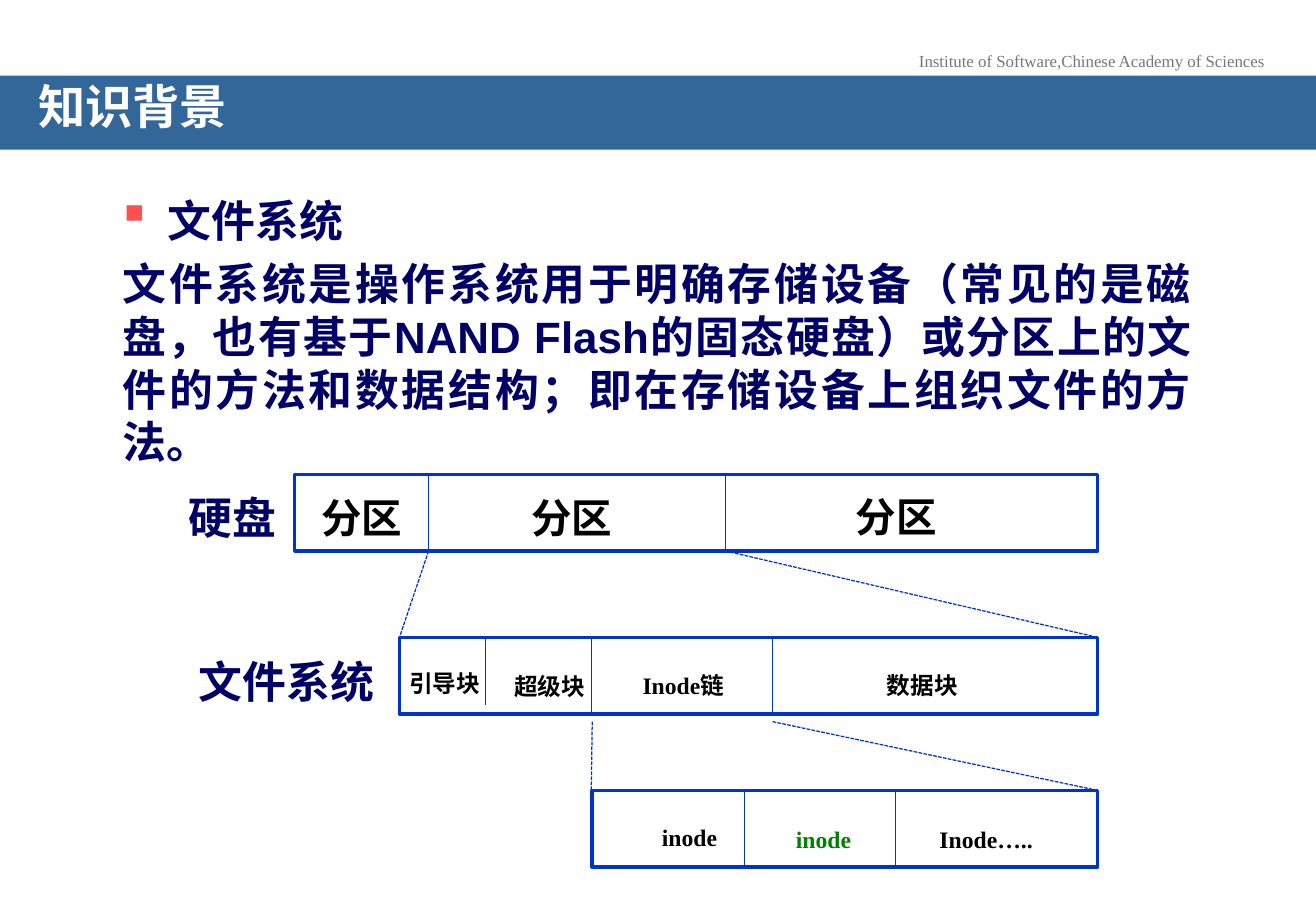
from lxml import etree
from pptx import Presentation
from pptx.dml.color import RGBColor
from pptx.enum import dml, shapes, text
from pptx.oxml.ns import qn
from pptx.util import Cm, Pt

NAVY, BLUE, BLACK, WHITE = "000066", "0033CC", "000000", "FFFFFF"
HEADING = {"size": Pt(26), "name": "Arial", "bold": True}
PARTITION = {"size": Pt(24), "name": "Times New Roman", "bold": True}
BLOCK = {"size": Pt(14), "name": "Times New Roman", "bold": True}


def color(hex_value):
    return RGBColor.from_string(hex_value)


def write(paragraph, words, style, ink, align=text.PP_ALIGN.CENTER):
    paragraph.alignment = align
    run = paragraph.add_run()
    run.text = words
    for key, value in style.items():
        setattr(run.font, key, value)
    run.font.color.rgb = color(ink)


deck = Presentation()
deck.slide_width, deck.slide_height = Cm(27.51), Cm(19.05)
slide = deck.slides.add_slide(deck.slide_layouts[6])

# Institute line
institute = slide.shapes.add_textbox(Cm(18.92), Cm(0.93), Cm(7.8), Cm(0.69))
institute.text_frame.word_wrap = False
write(institute.text_frame.paragraphs[0],
      "Institute of Software,Chinese Academy of Sciences",
      {"size": Pt(10), "name": "Times New Roman"}, "777777")

# Title band
band = slide.shapes.add_shape(shapes.MSO_SHAPE.RECTANGLE,
                              0, Cm(1.58), deck.slide_width, Cm(1.55))
band.shadow.inherit = False
band.fill.solid()
band.fill.fore_color.rgb = color("336699")
band.line.fill.background()
title = band.text_frame
title.margin_left = title.margin_right = Cm(0.8)
title.vertical_anchor = text.MSO_ANCHOR.MIDDLE
title.paragraphs[0].line_spacing = 0.7
write(title.paragraphs[0], "知识背景",
      {"size": Pt(28), "name": "Arial", "bold": True}, WHITE, text.PP_ALIGN.LEFT)

# Definition of a file system
definition = slide.shapes.add_textbox(Cm(2.31), Cm(3.92), Cm(22.86), Cm(12.8)).text_frame
definition.word_wrap = True
topic = definition.paragraphs[0]
bullet = topic._p.get_or_add_pPr()
bullet.set("marL", str(Cm(0.94)))
bullet.set("indent", str(-Cm(0.94)))
bullet_color = etree.SubElement(bullet, qn("a:buClr"))
etree.SubElement(bullet_color, qn("a:srgbClr"), val="FF5050")
etree.SubElement(bullet, qn("a:buSzPct"), val="120000")
etree.SubElement(bullet, qn("a:buFont"), typeface="Wingdings", charset="2")
etree.SubElement(bullet, qn("a:buChar"), char="§")
write(topic, "文件系统", HEADING, NAVY, text.PP_ALIGN.LEFT)
explanation = definition.add_paragraph()
explanation.space_before = Pt(6.5)
explanation._p.get_or_add_pPr().set("hangingPunct", "0")
write(explanation,
      "文件系统是操作系统用于明确存储设备（常见的是磁盘，也有基于NAND Flash的固态硬盘）"
      "或分区上的文件的方法和数据结构；即在存储设备上组织文件的方法。",
      HEADING, NAVY, text.PP_ALIGN.JUSTIFY)

# Bars: disk, file system, inode list, all ending at the same right edge
RIGHT, BAR_HEIGHT = 22.95, 1.6
DISK_TOP, SYSTEM_TOP, INODE_TOP = 9.92, 13.33, 16.53
for left, top in [(6.16, DISK_TOP), (8.35, SYSTEM_TOP), (12.38, INODE_TOP)]:
    bar = slide.shapes.add_shape(shapes.MSO_SHAPE.RECTANGLE, Cm(left), Cm(top),
                                 Cm(RIGHT - left), Cm(BAR_HEIGHT))
    bar.shadow.inherit = False
    bar.fill.solid()
    bar.fill.fore_color.rgb = color(WHITE)
    bar.line.color.rgb = color(BLUE)
    bar.line.width = Pt(2)

# Dividers inside the bars, then dashed lines that zoom into the next bar
dividers = [(x, top, x, top + height) for x, top, height in [
    (8.96, DISK_TOP, BAR_HEIGHT), (15.16, DISK_TOP, BAR_HEIGHT),
    (10.15, SYSTEM_TOP, 1.42), (12.36, SYSTEM_TOP, BAR_HEIGHT),
    (16.15, SYSTEM_TOP, BAR_HEIGHT),
    (15.56, INODE_TOP, BAR_HEIGHT), (18.72, INODE_TOP, BAR_HEIGHT)]]
zooms = [
    (8.96, DISK_TOP + BAR_HEIGHT, 8.35, SYSTEM_TOP),
    (15.16, DISK_TOP + BAR_HEIGHT, RIGHT, SYSTEM_TOP),
    (12.38, 15.09, 12.36, INODE_TOP),
    (16.15, 15.09, RIGHT, INODE_TOP)]
for ends, dash in [(d, None) for d in dividers] + [
        (z, dml.MSO_LINE.SQUARE_DOT) for z in zooms]:
    rule = slide.shapes.add_connector(shapes.MSO_CONNECTOR.STRAIGHT,
                                      *[Cm(value) for value in ends])
    rule.line.color.rgb = color(BLUE)
    rule.line.width = Pt(0.75)
    rule.line.dash_style = dash
    etree.SubElement(rule._element.spPr, qn("a:effectLst"))

# Labels: words, left, top, width, height, style, ink
labels = [
    ("硬盘", 3.56, 10.13, 2.59, 1.37, HEADING, NAVY),
    ("分区", 5.57, 10.19, 3.99, 1.27, PARTITION, BLACK),
    ("分区", 9.96, 10.19, 3.99, 1.27, PARTITION, BLACK),
    ("分区", 16.74, 10.16, 3.99, 1.27, PARTITION, BLACK),
    ("文件系统", 3.79, 13.56, 4.39, 1.37, HEADING, NAVY),
    ("引导块", 7.96, 13.87, 2.67, 0.86, BLOCK, BLACK),
    ("超级块", 10.16, 13.92, 2.67, 0.86, BLOCK, BLACK),
    ("Inode链", 12.95, 13.9, 2.67, 0.86, BLOCK, BLACK),
    ("数据块", 17.05, 13.9, 4.47, 0.86, BLOCK, BLACK),
    ("inode", 13.08, 17.08, 2.67, 0.86, BLOCK, BLACK),
    ("inode", 15.88, 17.12, 2.67, 0.86, BLOCK, "008000"),
    ("Inode…..", 19.28, 17.12, 2.67, 0.86, BLOCK, BLACK),
]
for words, left, top, width, height, style, ink in labels:
    label = slide.shapes.add_textbox(Cm(left), Cm(top), Cm(width), Cm(height)).text_frame
    label.word_wrap = True
    write(label.paragraphs[0], words, style, ink)

deck.save("out.pptx")
